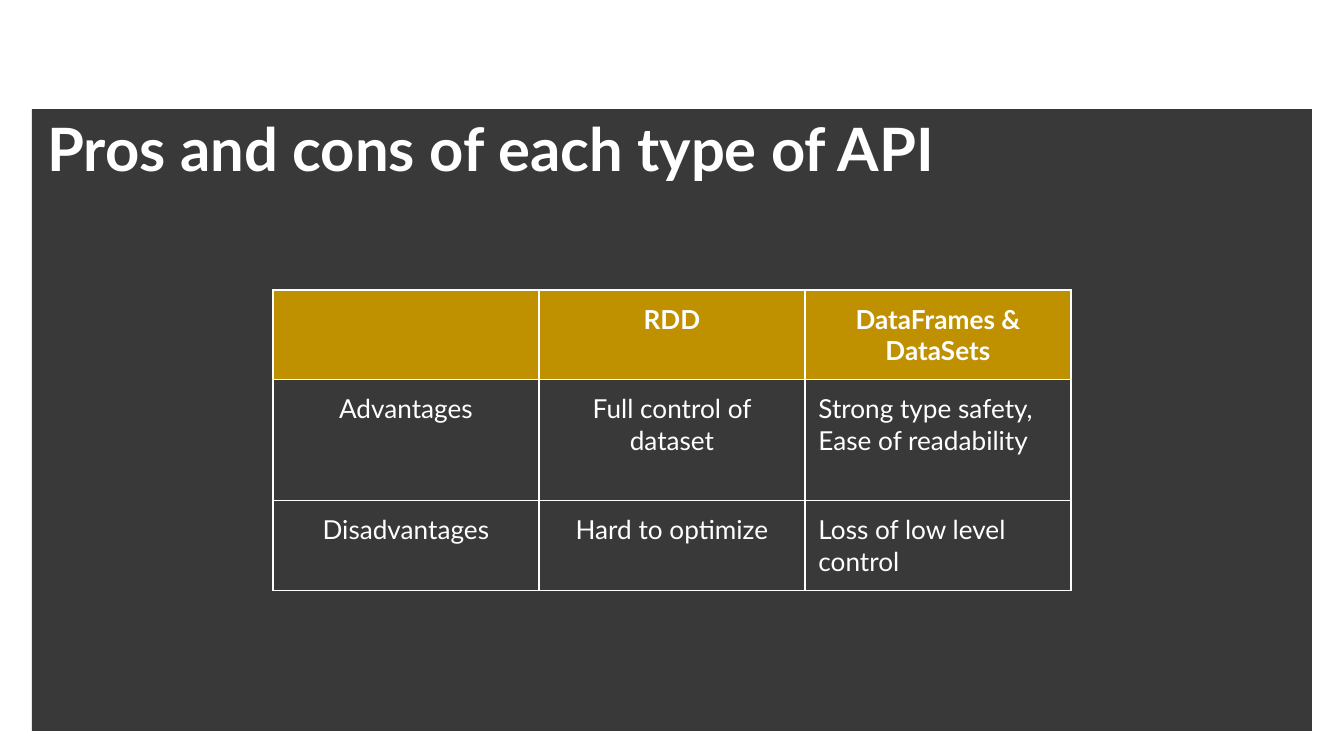
import pptx
import pptx.dml.color
import pptx.enum.shapes
import pptx.enum.text
import pptx.oxml
import pptx.oxml.ns
import pptx.util

PX = 914400 / 134.4
LEFT = pptx.enum.text.PP_ALIGN.LEFT
CENTER = pptx.enum.text.PP_ALIGN.CENTER
WHITE, CHARCOAL, GOLD = "FFFFFF", "393939", "BF9000"


def color(value):
    return pptx.dml.color.RGBColor.from_string(value)


def write(frame, text, size=14, bold=False, align=LEFT):
    frame.word_wrap = True
    for index, line in enumerate(text.split("\n")):
        paragraph = frame.paragraphs[0] if index == 0 else frame.add_paragraph()
        paragraph.alignment = align
        run = paragraph.add_run()
        run.text = line
        run.font.name = "Lato"
        run.font.size = pptx.util.Pt(size)
        run.font.bold = bold
        run.font.color.rgb = color(WHITE)


deck = pptx.Presentation()
deck.slide_width = round(1344 * PX)
deck.slide_height = round(756 * PX)
slide = deck.slides.add_slide(deck.slide_layouts[6])

for box, fill in [((32, 26, 1280, 705), CHARCOAL), ((23, 0, 1299, 109), WHITE)]:
    panel = slide.shapes.add_shape(
        pptx.enum.shapes.MSO_SHAPE.RECTANGLE, *[round(n * PX) for n in box])
    panel.shadow.inherit = False
    panel.fill.solid()
    panel.fill.fore_color.rgb = color(fill)
    panel.line.fill.background()

title = slide.shapes.add_textbox(*[round(n * PX) for n in (34, 109, 1277, 77)])
title.text_frame.vertical_anchor = pptx.enum.text.MSO_ANCHOR.MIDDLE
write(title.text_frame, "Pros and cons of each type of API", size=32, bold=True)

comparison = [
    ["", "RDD", "DataFrames & DataSets"],
    ["Advantages", "Full control of dataset", "Strong type safety,\nEase of readability"],
    ["Disadvantages", "Hard to optimize", "Loss of low level control"],
]
row_heights = [89, 121, 90]
grid = slide.shapes.add_table(
    3, 3, *[round(n * PX) for n in (273, 290, 3 * 266, sum(row_heights))]).table
grid.horz_banding = False
for column in grid.columns:
    column.width = round(266 * PX)

for r, (labels, height) in enumerate(zip(comparison, row_heights)):
    grid.rows[r].height = round(height * PX)
    for c, label in enumerate(labels):
        cell = grid.cell(r, c)
        cell.margin_left = cell.margin_right = pptx.util.Inches(0.1)
        cell.margin_top = cell.margin_bottom = pptx.util.Inches(0.1)
        if r == 0:
            cell.fill.solid()
            cell.fill.fore_color.rgb = color(GOLD)
        else:
            cell.fill.background()
        if label:
            write(cell.text_frame, label, bold=r == 0,
                  align=LEFT if r and c == 2 else CENTER)
        properties = cell._tc.get_or_add_tcPr()
        for position, side in enumerate("LRTB"):
            border = pptx.oxml.parse_xml(
                f'<a:ln{side} {pptx.oxml.ns.nsdecls("a")} w="9525"><a:solidFill>'
                f'<a:srgbClr val="{WHITE}"/></a:solidFill></a:ln{side}>')
            properties.insert(position, border)

deck.save("out.pptx")
